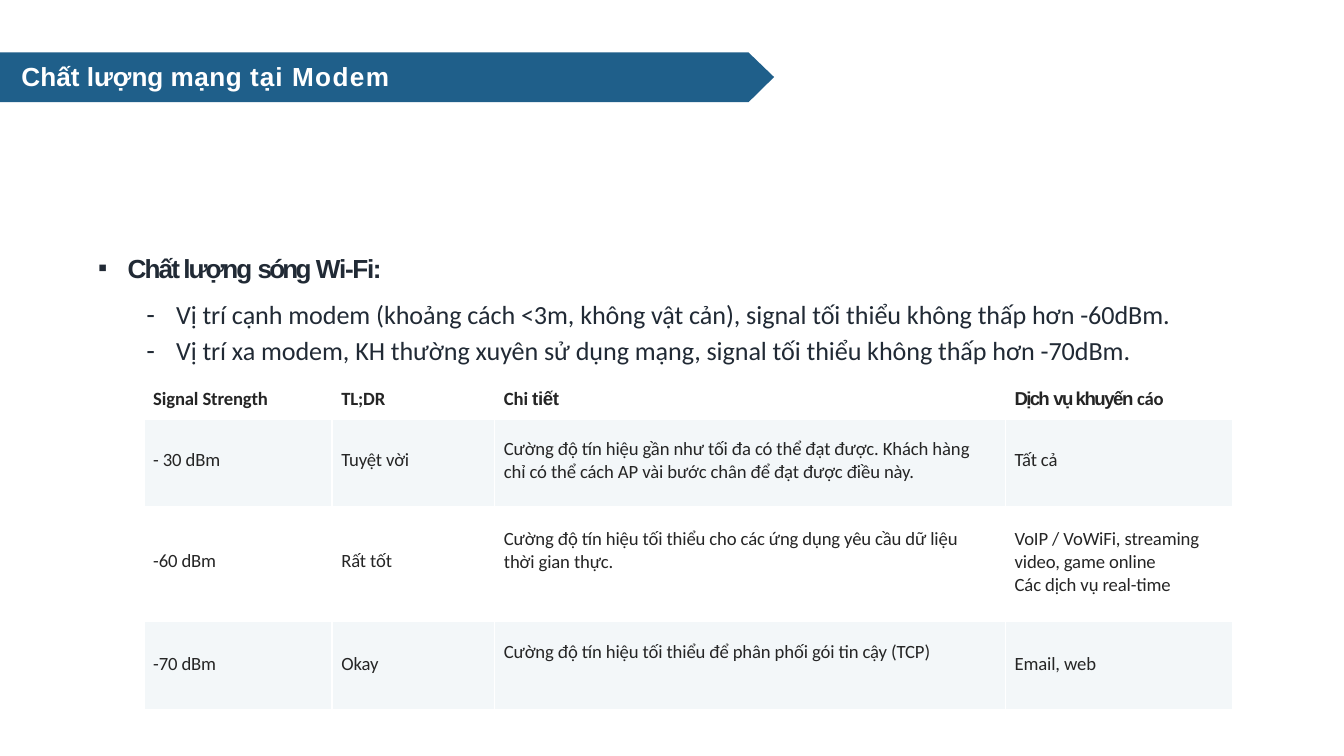
import pptx
import pptx.dml.color
import pptx.enum.text
import pptx.oxml
import pptx.oxml.ns
import pptx.util

WIDTH = pptx.util.Inches(10)
HEIGHT = WIDTH * 9 // 16
NAVY, INK, TEXT, BAND, WHITE = "1F5F8A", "212A35", "252525", "F3F7F9", "FFFFFF"
TIGHT = -0.05

COLUMNS = [14, 12.1, 38, 16.9]
ROWS = [4.8, 11.74, 15.12, 11.74]
TOP_INSETS = [
    [0.8, 0.8, 0.8, 0.8],
    [4.09, 4.09, 2.68, 4.09],
    [5.75, 5.75, 2.85, 2.85],
    [4.18, 4.18, 2.68, 4.18],
]
SIGNAL_LEVELS = [
    [
        [[("Signal Strength", TIGHT)]],
        [[("TL;DR", TIGHT)]],
        [[("Chi ", TIGHT, "Calibri"), ("tiết", -0.2, "Arial")]],
        [[("Dịch ", -0.9, "Arial"), ("vụ khuyến ", -0.8, "Arial"), ("cáo", TIGHT, "Calibri")]],
    ],
    [
        [[("- 30 dBm", TIGHT)]],
        [[("Tuyệt vời", TIGHT)]],
        [
            [("Cường độ tín hiệu gần như tối đa có thể đạt được. Khách ", TIGHT), ("hàng", 0)],
            [("chỉ có thể cách AP vài bước chân để đạt được điều này.", TIGHT)],
        ],
        [[("Tất cả", TIGHT)]],
    ],
    [
        [[("-60 dBm", TIGHT)]],
        [[("Rất tốt", TIGHT)]],
        [[("Cường độ tín hiệu tối thiểu cho các ứng dụng yêu cầu dữ liệu thời gian thực.", TIGHT)]],
        [
            [("VoIP / VoWiFi, streaming video, game online", TIGHT)],
            [("Các dịch vụ real-time", TIGHT)],
        ],
    ],
    [
        [[("-70 dBm", TIGHT)]],
        [[("Okay", TIGHT)]],
        [[("Cường độ tín hiệu tối thiểu để phân phối gói tin cậy (TCP)", TIGHT)]],
        [[("Email, web", TIGHT)]],
    ],
]


def across(percent):
    return round(WIDTH * percent / 100)


def down(percent):
    return round(HEIGHT * percent / 100)


def paint(color_format, hex_color):
    color_format.rgb = pptx.dml.color.RGBColor.from_string(hex_color)


def fill_solid(fill, hex_color):
    fill.solid()
    paint(fill.fore_color, hex_color)


def write(paragraph, pieces, size, color, bold=False, font="Calibri"):
    for text, spacing, *own_font in pieces:
        run = paragraph.add_run()
        run.text = text
        run.font._element.set("spc", str(round(spacing * 100)))
        if own_font:
            run.font.name = own_font[0]
    paragraph.font.size = pptx.util.Pt(size)
    paragraph.font.bold = bold
    paint(paragraph.font.color, color)
    if not any(len(piece) > 2 for piece in pieces):
        paragraph.font.name = font


def add_bullet(paragraph, mark, indent):
    properties = paragraph._p.get_or_add_pPr()
    properties.set("marL", str(across(indent)))
    properties.set("indent", str(-across(2.2)))
    namespace = pptx.oxml.ns.nsdecls("a")
    for element in ('buFont {} typeface="Arial"', f'buChar {{}} char="{mark}"'):
        properties.append(pptx.oxml.parse_xml(f"<a:{element.format(namespace)}/>"))


def add_text_frame(slide, left, top, width, height, inset):
    frame = slide.shapes.add_textbox(
        across(left), down(top), across(width), down(height)).text_frame
    frame.word_wrap = True
    frame.margin_left = frame.margin_right = frame.margin_bottom = 0
    frame.margin_top = down(inset)
    return frame


def add_banner(slide):
    top, middle, bottom = down(6.94), down(10.2), down(13.52)
    shoulder = across(55.7)
    outline = slide.shapes.build_freeform(shoulder, top)
    outline.add_line_segments(
        [(0, top), (0, bottom), (shoulder, bottom), (across(57.6), middle)], close=True)
    banner = outline.convert_to_shape()
    banner.shadow.inherit = False
    fill_solid(banner.fill, NAVY)
    banner.line.fill.background()

    title = add_text_frame(slide, 1.6, 7.8, 40, 4.63, 0.25)
    write(title.paragraphs[0],
          [("Chất ", 0), ("lượng ", TIGHT), ("mạng ", 0.25), ("tại ", 0.55), ("Modem", 0.75)],
          14, WHITE, True, "Arial")


def add_requirements(slide):
    frame = add_text_frame(slide, 7.2, 30.93, 81, 17.62, 2.4)
    heading = frame.paragraphs[0]
    add_bullet(heading, "▪", 2.3)
    write(heading, [("Chất lượng ", -1.05), ("sóng ", -1.55), ("Wi-Fi:", -0.75)],
          14, INK, True, "Arial")
    requirements = [
        ("Vị trí cạnh modem (khoảng cách <3m, không vật cản), "
         "signal tối thiểu không thấp hơn -60dBm.", 8.2),
        ("Vị trí xa modem, KH thường xuyên sử dụng mạng, "
         "signal tối thiểu không thấp hơn -70dBm.", 2.3),
    ]
    for requirement, gap in requirements:
        paragraph = frame.add_paragraph()
        paragraph.level = 1
        paragraph.space_before = pptx.util.Pt(gap)
        add_bullet(paragraph, "-", 5.9)
        write(paragraph, [(requirement, TIGHT)], 14, INK)


def add_borders(cell, top, bottom):
    properties = cell._tc.get_or_add_tcPr()
    for side, points in (("L", 1), ("R", 1), ("T", top), ("B", bottom)):
        properties.append(pptx.oxml.parse_xml(
            f'<a:ln{side} {pptx.oxml.ns.nsdecls("a")} w="{pptx.util.Pt(points)}">'
            f'<a:solidFill><a:srgbClr val="{WHITE}"/></a:solidFill></a:ln{side}>'))


def fill_cell(cell, paragraphs, row, inset):
    cell.margin_left, cell.margin_right = across(0.7), across(2)
    cell.margin_top, cell.margin_bottom = down(inset), 0
    cell.vertical_anchor = pptx.enum.text.MSO_ANCHOR.TOP
    add_borders(cell, 3 if row == 1 else 1, 3 if row == 0 else 1)
    if row % 2:
        fill_solid(cell.fill, BAND)
    else:
        cell.fill.background()
    for index, pieces in enumerate(paragraphs):
        frame = cell.text_frame
        paragraph = frame.add_paragraph() if index else frame.paragraphs[0]
        write(paragraph, pieces, 10, TEXT, row == 0)


def add_signal_table(slide):
    table = slide.shapes.add_table(
        len(ROWS), len(COLUMNS), across(10.7), down(50.49),
        across(sum(COLUMNS)), down(sum(ROWS))).table
    table.first_row = table.horz_banding = False
    for column, share in zip(table.columns, COLUMNS):
        column.width = across(share)
    for row, share in zip(table.rows, ROWS):
        row.height = down(share)
    for row, level in enumerate(SIGNAL_LEVELS):
        for column, paragraphs in enumerate(level):
            fill_cell(table.cell(row, column), paragraphs, row, TOP_INSETS[row][column])


def main():
    deck = pptx.Presentation()
    deck.slide_width, deck.slide_height = WIDTH, HEIGHT
    slide = deck.slides.add_slide(deck.slide_layouts[6])
    add_banner(slide)
    add_requirements(slide)
    add_signal_table(slide)
    deck.save("out.pptx")


if __name__ == "__main__":
    main()
